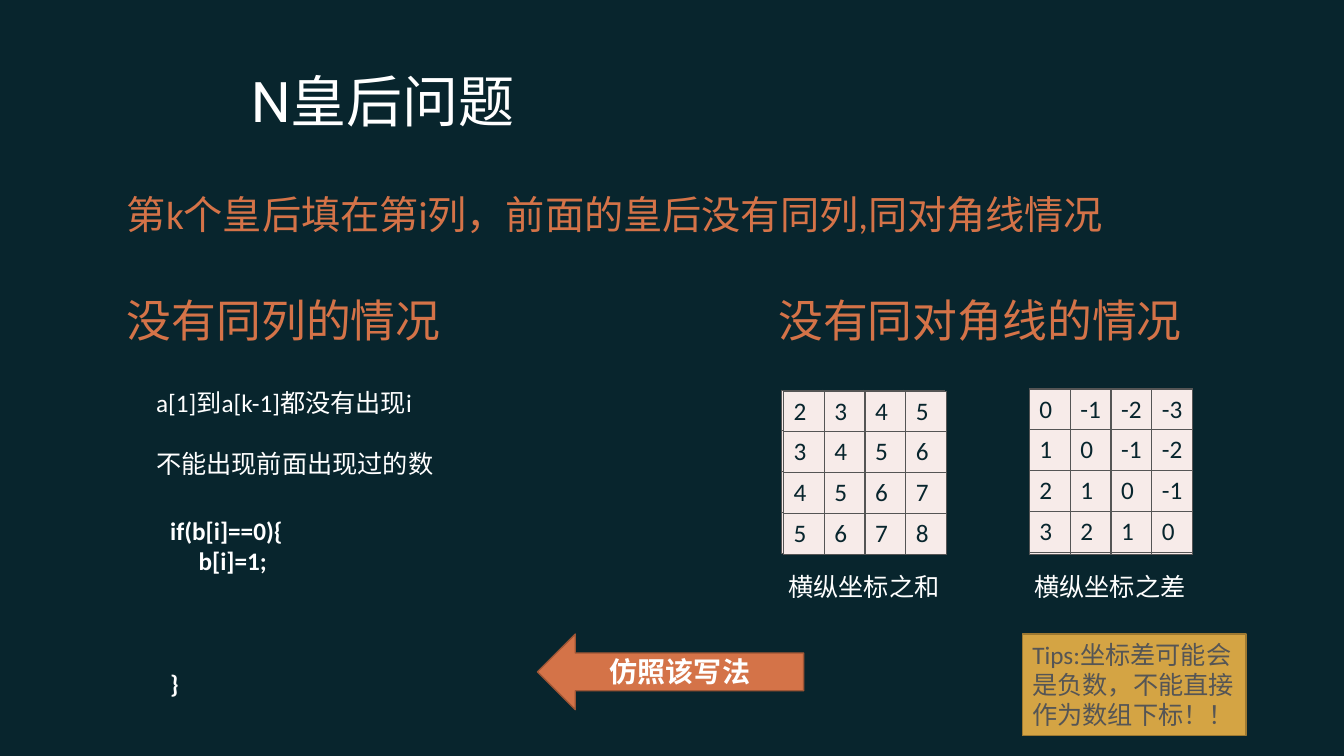
from lxml import etree
from pptx import Presentation
from pptx.dml.color import RGBColor
from pptx.enum import shapes, text
from pptx.oxml import ns
from pptx.util import Inches, Pt

NAVY = RGBColor(0x08, 0x25, 0x2D)
ORANGE = RGBColor(0xD4, 0x73, 0x48)
RUST = RGBColor(0x9D, 0x55, 0x35)
GOLD = RGBColor(0xD4, 0xA4, 0x44)
BRONZE = RGBColor(0x9D, 0x79, 0x32)
PINK = RGBColor(0xF7, 0xEB, 0xE9)
GRAY = RGBColor(0x55, 0x55, 0x55)
WHITE = RGBColor(0xFF, 0xFF, 0xFF)
CJK = "Noto Sans CJK SC"


def write(tf, lines, size, color, font="Calibri", bold=False, wrap=True):
    tf.word_wrap = wrap
    tf.text = lines
    for p in tf.paragraphs:
        p.alignment = text.PP_ALIGN.LEFT
        for r in p.runs:
            r.font.size = Pt(size)
            r.font.name = font
            r.font.bold = bold
            r.font.color.rgb = color
    return tf


def border(cell):
    tcPr = cell._tc.get_or_add_tcPr()
    for side in ("a:lnL", "a:lnR", "a:lnT", "a:lnB"):
        ln = etree.SubElement(tcPr, ns.qn(side), w=str(Pt(1)))
        fill = etree.SubElement(ln, ns.qn("a:solidFill"))
        etree.SubElement(fill, ns.qn("a:srgbClr"), val=str(GRAY))


prs = Presentation()
prs.slide_width, prs.slide_height = Inches(13.33), Inches(7.5)
s = prs.slides.add_slide(prs.slide_layouts[6])
s.background.fill.solid()
s.background.fill.fore_color.rgb = GRAY

backdrop = s.shapes.add_shape(
    shapes.MSO_SHAPE.RECTANGLE, 0, 0, prs.slide_width, prs.slide_height)
title = s.shapes.add_textbox(Inches(2.39), Inches(0.6), Inches(7.82), Inches(0.79))
tf = write(title.text_frame, "N皇后问题", 40, WHITE, "Roboto")
tf.vertical_anchor = text.MSO_ANCHOR.MIDDLE

strip = s.shapes.add_shape(
    shapes.MSO_SHAPE.RECTANGLE, Inches(1.16), Inches(1.84), Inches(10.55), Inches(0.57))
tf = write(strip.text_frame, "第k个皇后填在第i列，前面的皇后没有同列,同对角线情况", 28, ORANGE)
tf.vertical_anchor = text.MSO_ANCHOR.TOP
for sp in (backdrop, strip):
    sp.shadow.inherit = False
    sp.fill.solid()
    sp.fill.fore_color.rgb = NAVY
    sp.line.fill.background()

labels = [
    (1.16, 2.86, 3.72, 0.64, "没有同列的情况", 32, ORANGE, CJK),
    (7.62, 2.86, 4.39, 0.64, "没有同对角线的情况", 32, ORANGE, CJK),
    (7.72, 5.62, 1.78, 0.4, "横纵坐标之和", 18, WHITE, "Calibri"),
    (10.16, 5.62, 1.78, 0.4, "横纵坐标之差", 18, WHITE, "Calibri"),
]
for x, y, w, h, label, size, color, font in labels:
    sp = s.shapes.add_textbox(Inches(x), Inches(y), Inches(w), Inches(h))
    write(sp.text_frame, label, size, color, font)

column_rule = s.shapes.add_textbox(Inches(1.45), Inches(3.79), Inches(3.28), Inches(1.01))
tf = write(column_rule.text_frame, "a[1]到a[k-1]都没有出现i\n不能出现前面出现过的数", 18, WHITE)
tf.paragraphs[1].space_before = Pt(22)

code = s.shapes.add_textbox(Inches(1.59), Inches(5.06), Inches(1.33), Inches(1.92))
tf = write(code.text_frame, "if(b[i]==0){\n     b[i]=1;\n}", 18, WHITE, bold=True, wrap=False)
tf.paragraphs[2].space_before = Pt(66)

empty = [[""] * 4 for row in range(4)]
sums = [[row + col + 2 for col in range(4)] for row in range(4)]
differences = [[row - col for col in range(4)] for row in range(4)]
boards = [
    (7.75, 3.87, empty),
    (10.21, 3.88, empty),
    (10.21, 3.86, differences),
    (7.77, 3.88, sums),
]
for x, y, board in boards:
    frame = s.shapes.add_table(4, 4, Inches(x), Inches(y), Inches(1.62), Inches(1.62))
    for i, row in enumerate(board):
        for j, value in enumerate(row):
            cell = frame.table.cell(i, j)
            border(cell)
            cell.fill.solid()
            cell.fill.fore_color.rgb = PINK
            write(cell.text_frame, str(value), 18, NAVY)

hint = s.shapes.add_group_shape()
arrow = hint.shapes.add_shape(
    shapes.MSO_SHAPE.RIGHT_ARROW, Inches(5.33), Inches(6.29), Inches(2.64), Inches(0.75))
arrow.rotation = 180
tips = s.shapes.add_shape(
    shapes.MSO_SHAPE.RECTANGLE, Inches(10.14), Inches(6.29), Inches(2.22), Inches(1.01))
for sp, fill, line in ((arrow, ORANGE, RUST), (tips, GOLD, BRONZE)):
    sp.shadow.inherit = False
    sp.fill.solid()
    sp.fill.fore_color.rgb = fill
    sp.line.color.rgb = line
    sp.line.width = Pt(1)

sp = hint.shapes.add_textbox(Inches(5.95), Inches(6.44), Inches(1.88), Inches(0.44))
write(sp.text_frame, "仿照该写法", 20, WHITE, CJK, bold=True)
tf = write(tips.text_frame, "Tips:坐标差可能会是负数，不能直接作为数组下标！！", 18, GRAY)
tf.vertical_anchor = text.MSO_ANCHOR.TOP

prs.save("out.pptx")
